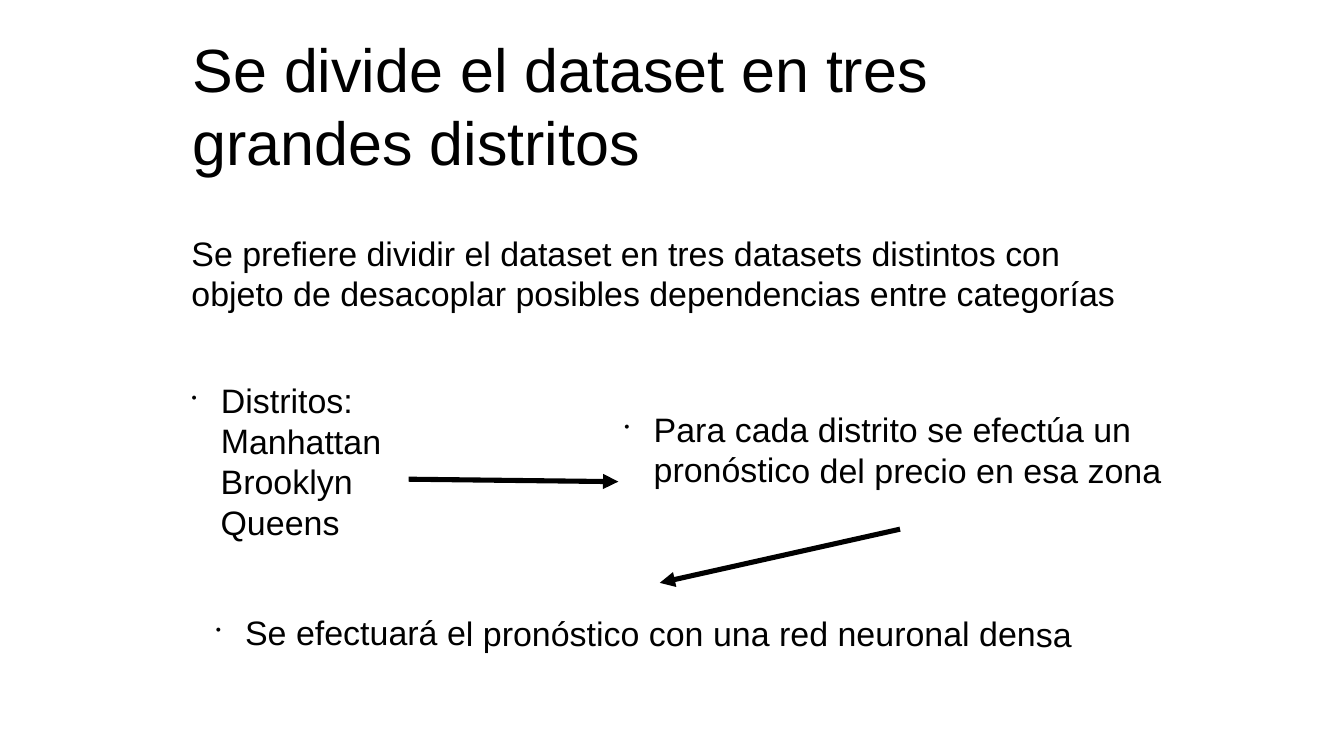
from lxml import etree
from pptx import Presentation
from pptx import util as u
from pptx.dml.color import RGBColor
from pptx.enum import shapes, text
from pptx.oxml.ns import qn

COLORS = {"ink": "000000", "paper": "FFFFFF"}
FONT = "Arial"
INDENT = u.Inches(0.24)
LINE_HEIGHT = 0.31


def rgb(name):
    """Return the named colour."""
    return RGBColor.from_string(COLORS[name])


def add_text(slide, box, words, size=20, bottom=0):
    """Add a wrapped, vertically centred text box."""
    sp = slide.shapes.add_textbox(*map(u.Inches, box))
    tf = sp.text_frame
    tf.word_wrap = True
    tf.vertical_anchor = text.MSO_ANCHOR.MIDDLE
    tf.margin_left = tf.margin_right = tf.margin_top = 0
    tf.margin_bottom = u.Inches(bottom)
    p = tf.paragraphs[0]
    p.text = words
    p.font.name = FONT
    p.font.size = u.Pt(size)
    p.font.color.rgb = rgb("ink")
    return sp


def add_bullet(slide, box, words):
    """Add a slightly tilted text box with a small bullet."""
    sp = add_text(slide, box, words, bottom=LINE_HEIGHT)
    sp.rotation = 0.1
    pPr = sp.text_frame.paragraphs[0]._p.get_or_add_pPr()
    pPr.set("marL", str(INDENT))
    pPr.set("indent", str(-INDENT))
    marks = [etree.Element(qn(tag)) for tag in ("a:buClr", "a:buSzPct", "a:buChar")]
    color, size, char = marks
    etree.SubElement(color, qn("a:srgbClr")).set("val", COLORS["ink"])
    size.set("val", "45000")
    char.set("char", "•")
    for i, mark in enumerate(marks):
        pPr.insert(i, mark)


def add_arrow(slide, start, end):
    """Add a thick straight arrow from start to end."""
    ends = map(u.Inches, (*start, *end))
    cn = slide.shapes.add_connector(shapes.MSO_CONNECTOR.STRAIGHT, *ends)
    cn.line.color.rgb = rgb("ink")
    cn.line.width = u.Pt(3)
    etree.SubElement(cn.line._get_or_add_ln(), qn("a:tailEnd")).set("type", "triangle")
    etree.SubElement(cn._element.spPr, qn("a:effectLst"))


def main():
    """Build the districts slide."""
    prs = Presentation()
    prs.slide_width, prs.slide_height = u.Inches(11.02), u.Inches(6.2)
    slide = prs.slides.add_slide(prs.slide_layouts[6])
    slide.background.fill.solid()
    slide.background.fill.fore_color.rgb = rgb("paper")

    add_text(slide, (1.58, 0.3, 7.87, 1.12),
             "Se divide el dataset en tres grandes distritos", size=36)
    add_text(slide, (1.57, 1.72, 7.87, 1.04),
             "Se prefiere dividir el dataset en tres datasets distintos con "
             "objeto de desacoplar posibles dependencias entre categorías")

    add_bullet(slide, (1.57, 2.95, 1.77, 1.97),
               "Distritos:\vManhattan\vBrooklyn\vQueens")
    add_arrow(slide, (3.35, 3.93), (5.07, 3.95))
    add_bullet(slide, (5.12, 3.35, 4.53, 0.98),
               "Para cada distrito se efectúa un pronóstico del precio en esa zona")
    add_arrow(slide, (7.38, 4.34), (5.41, 4.78))
    add_bullet(slide, (1.77, 4.78, 7.28, 1.13),
               "Se efectuará el pronóstico con una red neuronal densa")

    prs.save("out.pptx")


main()
